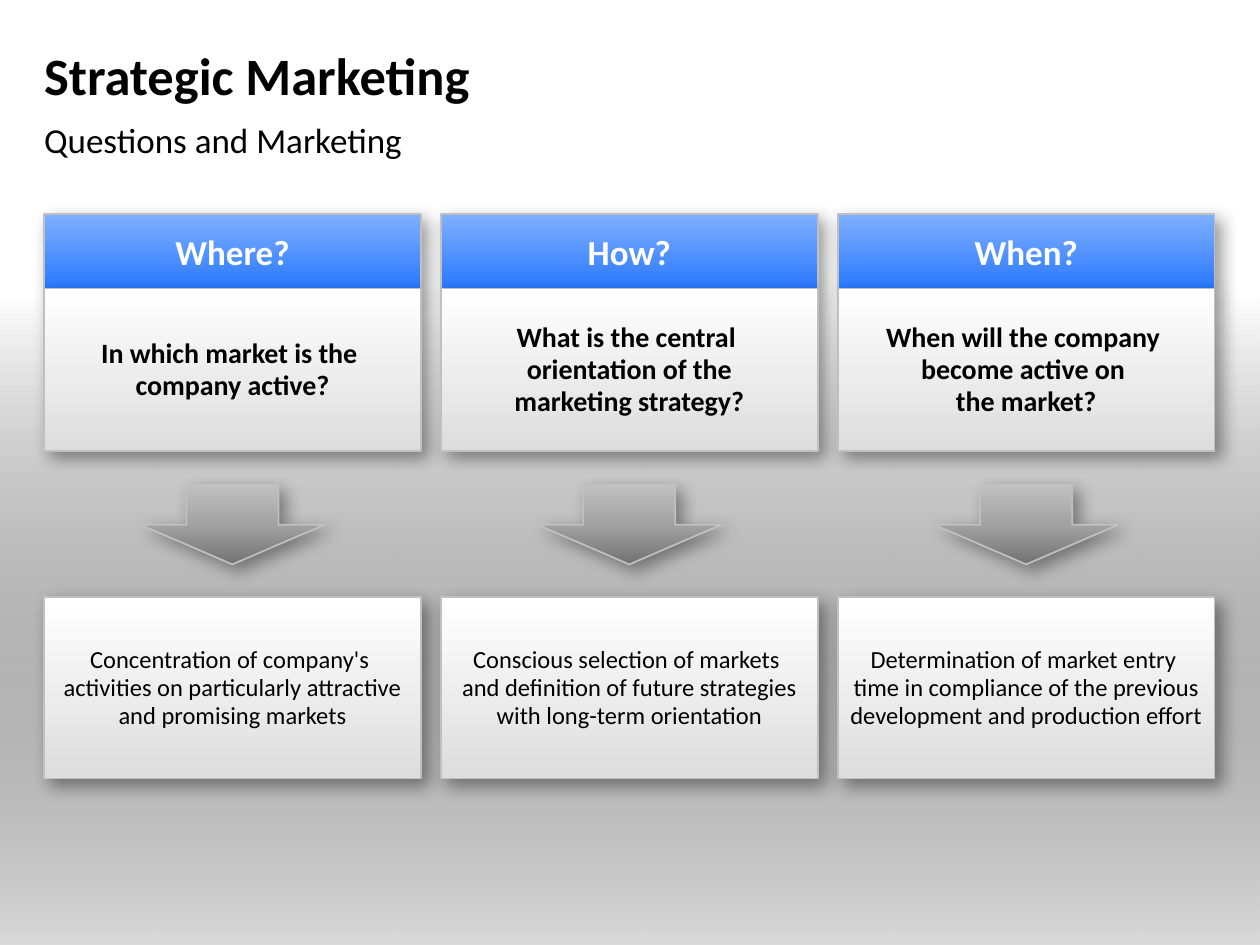
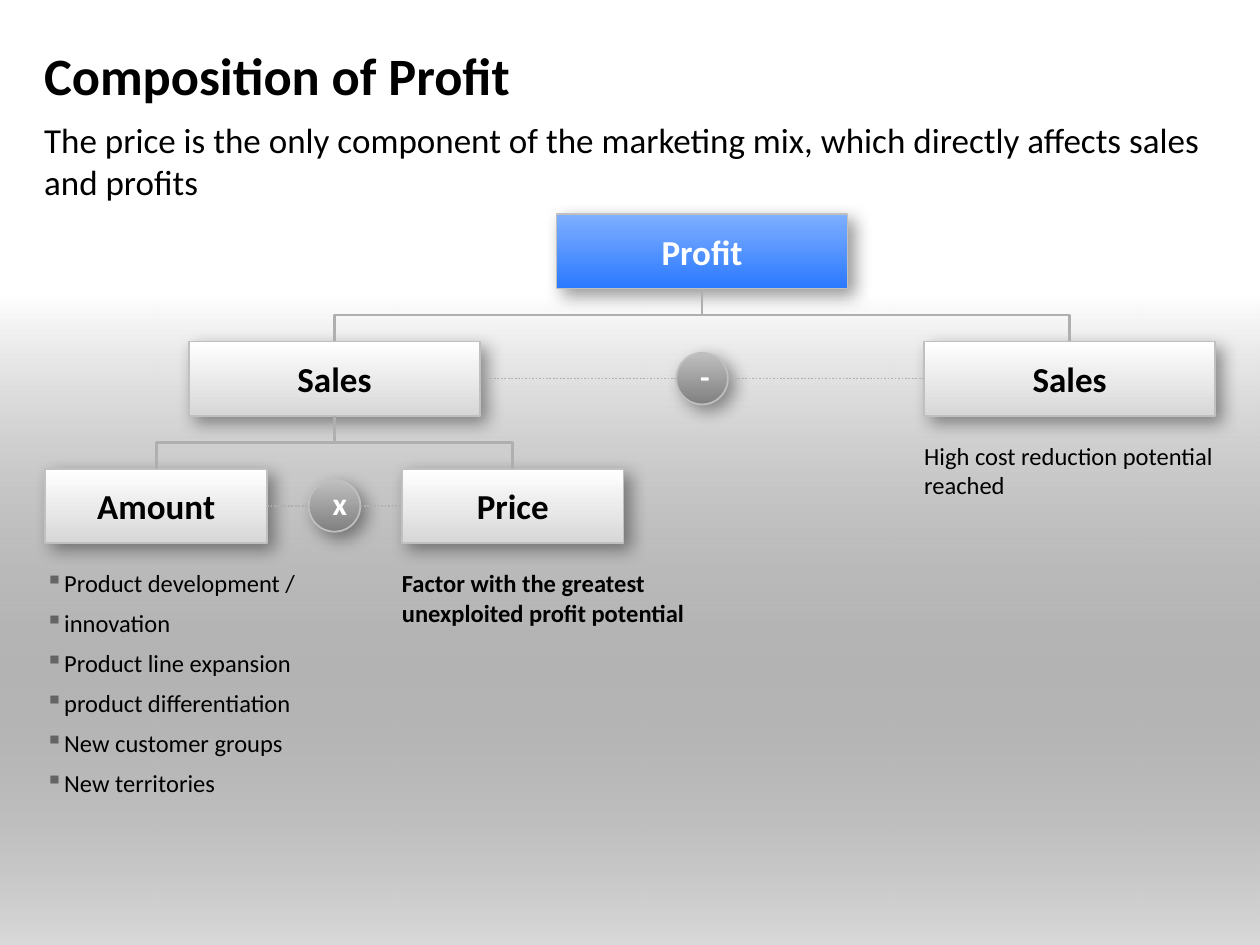
from copy import deepcopy

from pptx import Presentation
from pptx.dml.color import RGBColor
from pptx.enum.dml import MSO_LINE
from pptx.enum.shapes import MSO_CONNECTOR as LINK, MSO_SHAPE as SHAPE
from pptx.enum.text import MSO_ANCHOR as ANCHOR, MSO_AUTO_SIZE as FIT, PP_ALIGN as ALIGN
from pptx.oxml import parse_xml
from pptx.oxml.ns import nsdecls, qn
from pptx.util import Inches, Pt

QUESTIONS = {
    "title": "Strategic Marketing",
    "subtitle": "Questions and Marketing",
    "columns": [
        ("Where?", "In which market is the \ncompany active?",
         "Concentration of company's \nactivities on particularly attractive and promising markets"),
        ("How?", "What is the central \norientation of the\nmarketing strategy?",
         "Conscious selection of markets \nand definition of future strategies with long-term orientation"),
        ("When?", "When will the company \nbecome active on \nthe market?",
         "Determination of market entry \ntime in compliance of the previous development and production effort"),
    ],
}
PROFIT = {
    "title": "Composition of Profit",
    "subtitle": "The price is the only component of the marketing mix, "
                "which directly affects sales and profits",
    "tree": {
        "label": "Profit", "operator": "-", "parts": [
            {"label": "Sales", "operator": "x", "parts": [
                {"label": "Amount", "center": 1.24, "style": "bullets", "notes": [
                    "Product development /", "innovation", "Product line expansion",
                    "product differentiation", "New customer groups", "New territories"]},
                {"label": "Price", "center": 4.07, "style": "key note",
                 "notes": ["Factor with the greatest\nunexploited profit potential"]},
            ]},
            {"label": "Sales", "center": 8.49, "style": "note",
             "notes": ["High cost reduction potential reached"]},
        ],
    },
}

COLORS = {"ink": "000000", "paper": "FFFFFF", "edge": "C0C0C0", "link": "AFAFAF", "bullet": "646464"}
FILLS = {
    "backdrop": (270, [(0, "000000", 15), (100, "FFFFFF", 100)]),
    "accent": (90, [(0, "7FAFFF", 100), (100, "2A79FF", 100)]),
    "panel": (90, [(0, "FFFFFF", 100), (100, "DDDDDD", 100)]),
    "node": (270, [(0, "D7D7D7", 100), (100, "FFFFFF", 100)]),
    "operator": (270, [(0, "808080", 100), (100, "BFBFBF", 100)]),
    "arrow": (270, [(0, "727272", 100), (50, "A2A2A2", 100), (100, "C0C0C0", 100)]),
}


def text_style(size, bold=False, color="ink", align=ALIGN.CENTER, anchor=ANCHOR.MIDDLE,
               insets=(0, 0, 0, 0), spacing=1, after=0, bullet=None):
    sides = ("margin_left", "margin_top", "margin_right", "margin_bottom")
    return {
        "font": {"name": "Calibri", "size": Pt(size), "bold": bold},
        "color": color,
        "paragraph": {"alignment": align, "line_spacing": spacing,
                      "space_before": Pt(0), "space_after": Pt(after)},
        "frame": {"word_wrap": True, "auto_size": FIT.NONE, "vertical_anchor": anchor,
                  **{side: Inches(inset) for side, inset in zip(sides, insets)}},
        "bullet": bullet,
    }


NOTE = {"align": ALIGN.LEFT, "anchor": ANCHOR.TOP, "insets": (0, 0.2, 0, 0)}
NODE = {"bold": True, "insets": (0.16, 0, 0.16, 0)}
STYLES = {
    "title": text_style(30, True, align=ALIGN.LEFT),
    "subtitle": text_style(20, align=ALIGN.LEFT, anchor=ANCHOR.TOP),
    "heading": text_style(20, True, "paper"),
    "question": text_style(16, True, spacing=0.95),
    "answer": text_style(14, spacing=0.95),
    "root": text_style(20, color="paper", **NODE),
    "node": text_style(20, **NODE),
    "operator": text_style(18, True, "paper", insets=(0.16, 0, 0.16, 0.04)),
    "note": text_style(14, **NOTE),
    "key note": text_style(14, True, **NOTE),
    "bullets": text_style(14, after=6, bullet="▪", **NOTE),
}

WIDTH, HEIGHT = 10, 7.5
MARGIN = 0.35
CONTENT_TOP = 1.7
BAR = 0.59
COLUMN, COLUMN_STEP = 2.99, 3.15
LEVEL_STEP = 1.01
NODE_WIDTHS = (2.31, 2.31, 1.76)
OPERATOR = 0.41


def assign(target, values):
    for name, value in values.items():
        setattr(target, name, value)


def rgb(name):
    return RGBColor.from_string(COLORS[name])


def inches(*lengths):
    return [Inches(length) for length in lengths]


def write(frame, lines, style_name):
    style = STYLES[style_name]
    assign(frame, style["frame"])
    for number, line in enumerate(lines):
        paragraph = frame.add_paragraph() if number else frame.paragraphs[0]
        paragraph.text = line
        props = paragraph._p.get_or_add_pPr()
        indent = Inches(0.15) if style["bullet"] else 0
        props.set("marL", str(indent))
        props.set("indent", str(-indent))
        if style["bullet"]:
            props.append(parse_xml(f'<a:buClr {nsdecls("a")}><a:srgbClr val="{COLORS["bullet"]}"/></a:buClr>'))
            props.append(parse_xml(f'<a:buChar {nsdecls("a")} char="{style["bullet"]}"/>'))
        else:
            props.append(parse_xml(f'<a:buNone {nsdecls("a")}/>'))
        assign(paragraph, style["paragraph"])
        for run in paragraph.runs:
            assign(run.font, style["font"])
            run.font.color.rgb = rgb(style["color"])
        for line_break in paragraph._p.findall(qn("a:br")):
            line_break.append(deepcopy(paragraph.runs[0]._r.rPr))


def paint(shape, fill_name):
    angle, stops = FILLS[fill_name]
    marks = "".join(
        f'<a:gs pos="{place * 1000}"><a:srgbClr val="{color}"><a:alpha val="{alpha * 1000}"/></a:srgbClr></a:gs>'
        for place, color, alpha in stops)
    shape.element.spPr.append(parse_xml(
        f'<a:gradFill {nsdecls("a")} rotWithShape="1"><a:gsLst>{marks}</a:gsLst>'
        f'<a:lin ang="{angle * 60000}" scaled="0"/></a:gradFill>'))


def add_block(slide, kind, place, fill_name, text="", style_name=None):
    block = slide.shapes.add_shape(kind, *inches(*place))
    paint(block, fill_name)
    block.line.color.rgb = rgb("edge")
    block.line.width = Pt(1)
    block.element.spPr.append(parse_xml(
        f'<a:effectLst {nsdecls("a")}><a:outerShdw blurRad="{Pt(10)}" dist="{Pt(5)}" dir="2700000" '
        f'algn="tl" rotWithShape="0"><a:srgbClr val="{COLORS["ink"]}"><a:alpha val="40000"/></a:srgbClr>'
        f'</a:outerShdw></a:effectLst>'))
    if text:
        write(block.text_frame, [text], style_name)


def add_link(slide, kind, ends, width, dash=None):
    link = slide.shapes.add_connector(kind, *inches(*ends))
    link.line.color.rgb = rgb("link")
    assign(link.line, {"width": Pt(width), "dash_style": dash})
    link.element.spPr.append(parse_xml(f'<a:effectLst {nsdecls("a")}/>'))
    return link


def add_branch(slide, x1, y1, x2, y2):
    middle_x, middle_y = (x1 + x2) / 2, (y1 + y2) / 2
    half_drop, half_span = (y2 - y1) / 2, abs(x2 - x1) / 2
    side = 1 if x2 < x1 else -1
    branch = add_link(slide, LINK.ELBOW, (middle_x - side * half_drop, middle_y - half_span,
                                          middle_x + side * half_drop, middle_y + half_span), 1.5)
    branch.element.spPr.xfrm.set("rot", str((90 if side == 1 else 270) * 60000))


def add_backdrop(slide):
    top = 2.33
    backdrop = slide.shapes.add_shape(SHAPE.RECTANGLE, *inches(0, top, WIDTH, HEIGHT - top))
    paint(backdrop, "backdrop")
    backdrop.line.fill.background()
    backdrop.shadow.inherit = False
    slide.slide_layout.shapes.element.insert(2, backdrop.element)


def start_slide(deck, content):
    slide = deck.slides.add_slide(deck.slide_layouts[1])
    for holder, part, top, height in zip(slide.placeholders, ("title", "subtitle"), (0.26, 0.94), (0.67, 0.37)):
        left, top, width, height = inches(MARGIN, top, WIDTH - 2 * MARGIN, height)
        assign(holder, {"left": left, "top": top, "width": width, "height": height})
        write(holder.text_frame, [content[part]], part)
    return slide


def build_questions(slide, columns):
    arrow_width = 1.46
    rows = [
        (0, CONTENT_TOP, BAR, "accent", "heading"),
        (1, CONTENT_TOP + BAR, 1.29, "panel", "question"),
        (2, 4.74, 1.44, "panel", "answer"),
    ]
    for number, texts in enumerate(columns):
        left = MARGIN + number * COLUMN_STEP
        for row, top, height, fill_name, style_name in rows:
            add_block(slide, SHAPE.RECTANGLE, (left, top, COLUMN, height), fill_name, texts[row], style_name)
        add_block(slide, SHAPE.DOWN_ARROW,
                  (left + (COLUMN - arrow_width) / 2, 3.85, arrow_width, 0.63), "arrow")


def center_of(node):
    if "center" in node:
        return node["center"]
    return sum(center_of(part) for part in node["parts"]) / len(node["parts"])


def build_tree(slide, node, level=0):
    center, width = center_of(node), NODE_WIDTHS[level]
    left, top = center - width / 2, CONTENT_TOP + level * LEVEL_STEP
    fill_name, style_name = ("node", "node") if level else ("accent", "root")
    add_block(slide, SHAPE.RECTANGLE, (left, top, width, BAR), fill_name, node["label"], style_name)
    if "notes" in node:
        note_height = 2.03 if len(node["notes"]) > 1 else 0.92
        notes = slide.shapes.add_textbox(*inches(left, top + BAR, 2.3, note_height))
        write(notes.text_frame, node["notes"], node["style"])
        return
    for part in node["parts"]:
        build_tree(slide, part, level + 1)
    part_top = top + LEVEL_STEP
    axis = part_top + BAR / 2
    add_block(slide, SHAPE.OVAL, (center - OPERATOR / 2, axis - OPERATOR / 2, OPERATOR, OPERATOR),
              "operator", node["operator"], "operator")
    for part, side in zip(node["parts"], (-1, 1)):
        part_center = center_of(part)
        part_edge = part_center - side * NODE_WIDTHS[level + 1] / 2
        operator_edge = center + side * OPERATOR / 2
        add_link(slide, LINK.STRAIGHT, (min(part_edge, operator_edge), axis, max(part_edge, operator_edge), axis),
                 1, MSO_LINE.ROUND_DOT)
        add_branch(slide, center, top + BAR, part_center, part_top)


def main():
    deck = Presentation()
    deck.slide_width, deck.slide_height = inches(WIDTH, HEIGHT)
    questions = start_slide(deck, QUESTIONS)
    add_backdrop(questions)
    build_questions(questions, QUESTIONS["columns"])
    build_tree(start_slide(deck, PROFIT), PROFIT["tree"])
    deck.save("out.pptx")


if __name__ == "__main__":
    main()
